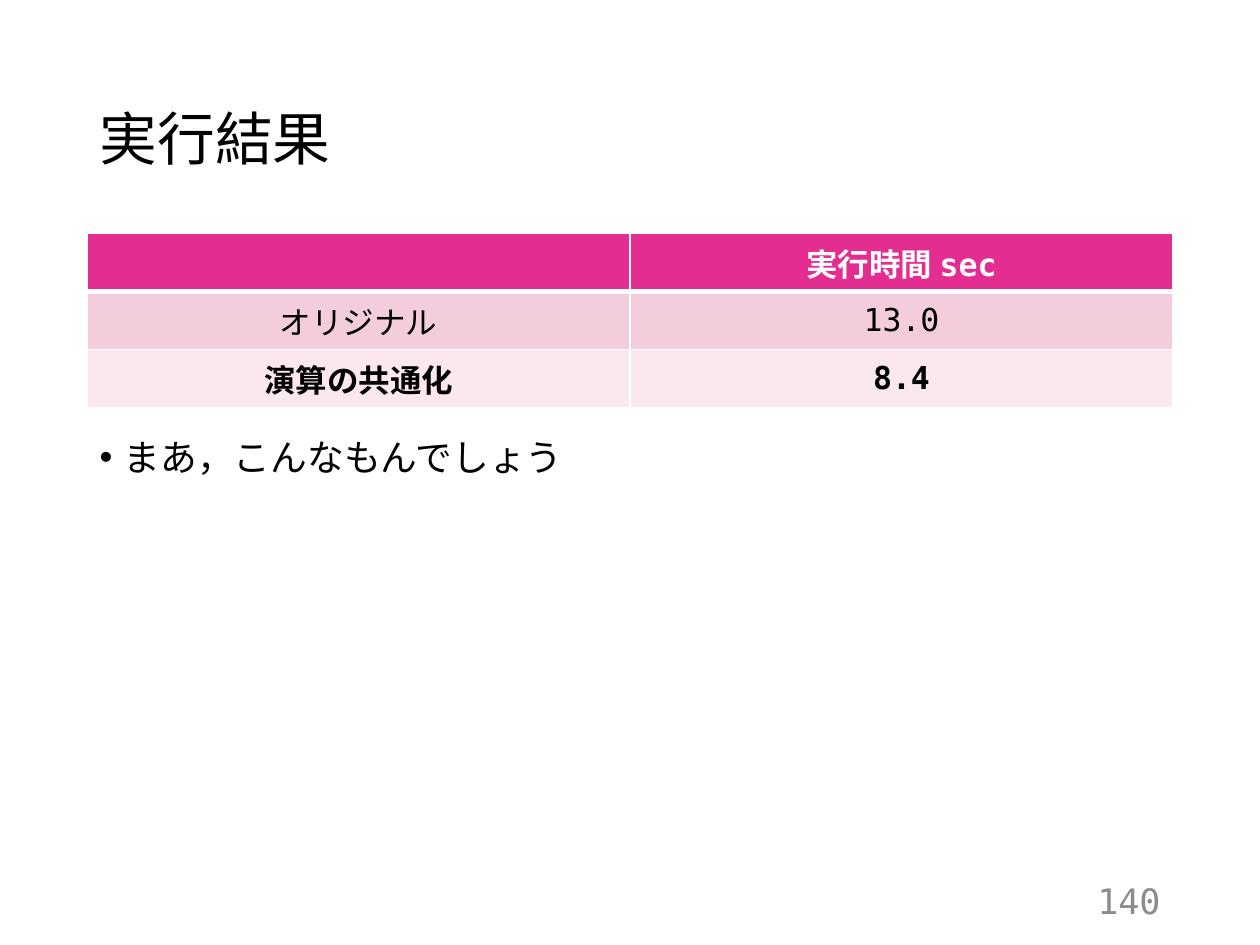
from dataclasses import dataclass

from lxml import etree
from pptx import Presentation
from pptx.dml.color import RGBColor
from pptx.enum.text import MSO_ANCHOR, MSO_AUTO_SIZE, PP_ALIGN
from pptx.oxml.ns import qn
from pptx.util import Emu, Inches, Pt

LEFT, CENTER, RIGHT = PP_ALIGN.LEFT, PP_ALIGN.CENTER, PP_ALIGN.RIGHT
TOP, MIDDLE = MSO_ANCHOR.TOP, MSO_ANCHOR.MIDDLE
NO_AUTOFIT = MSO_AUTO_SIZE.NONE

WIDTH, HEIGHT = 10, 7.5
MARGIN = 0.69
CONTENT_WIDTH = WIDTH - 2 * MARGIN
ROW_HEIGHT = 0.41
RESULTS = [
    ["", "実行時間 sec"],
    ["オリジナル", "13.0"],
    ["演算の共通化", "8.4"],
]


@dataclass(frozen=True)
class Theme:
    font: str = "DejaVu Sans Mono"
    text: str = "000000"
    light: str = "FFFFFF"
    muted: str = "8C8C8C"
    row_fills: tuple = ("E32D91", "F4CDDC", "FAE8EE")
    title_size: float = 33
    body_size: float = 21
    table_size: float = 18
    number_size: float = 20
    thin_line: float = 1
    header_line: float = 3


THEME = Theme()


def place(shape, left, top, width, height):
    shape.left, shape.top = Inches(left), Inches(top)
    shape.width, shape.height = Inches(width), Inches(height)


def write(frame, text, size, color, align=LEFT, bold=False):
    frame.text = text
    para = frame.paragraphs[0]
    para.alignment = align
    for span in para.runs:
        span.font.name = THEME.font
        span.font.size = Pt(size)
        span.font.bold = bold
        span.font.color.rgb = RGBColor.from_string(color)
    return para


def fill_box(box, text, size, color, anchor, align=LEFT):
    frame = box.text_frame
    frame.word_wrap = True
    frame.auto_size = NO_AUTOFIT
    frame.vertical_anchor = anchor
    return write(frame, text, size, color, align)


def add_title(page, text):
    title = page.shapes.title
    place(title, MARGIN, 0.4, CONTENT_WIDTH, 1.45)
    para = fill_box(title, text, THEME.title_size, THEME.text, MIDDLE)
    para.line_spacing = 0.9


def add_bullet(page, text):
    body = page.placeholders[1]
    place(body, MARGIN, 3.4, CONTENT_WIDTH, 3.36)
    para = fill_box(body, text, THEME.body_size, THEME.text, TOP)
    para.space_before = Pt(7.5)
    properties = para._p.get_or_add_pPr()
    properties.set("marL", str(Inches(0.19)))
    properties.set("indent", str(-Inches(0.19)))
    etree.SubElement(properties, qn("a:buChar")).set("char", "•")


def add_border(cell, side, width):
    line = etree.SubElement(cell._tc.get_or_add_tcPr(), qn(f"a:ln{side}"))
    line.set("w", str(Pt(width)))
    fill = etree.SubElement(line, qn("a:solidFill"))
    etree.SubElement(fill, qn("a:srgbClr")).set("val", THEME.light)


def format_cell(cell, text, row):
    is_header = row == 0
    thick_side = {0: "B", 1: "T"}.get(row)
    for side in "LRTB":
        add_border(cell, side, THEME.header_line if side == thick_side else THEME.thin_line)
    cell.fill.solid()
    cell.fill.fore_color.rgb = RGBColor.from_string(THEME.row_fills[row])
    cell.vertical_anchor = MIDDLE
    color = THEME.light if is_header else THEME.text
    is_bold = is_header or row == len(RESULTS) - 1
    write(cell.text_frame, text, THEME.table_size, color, CENTER, is_bold)


def add_results(page):
    frame = page.shapes.add_table(
        len(RESULTS), len(RESULTS[0]), Inches(MARGIN), Inches(1.85),
        Inches(CONTENT_WIDTH), Inches(ROW_HEIGHT * len(RESULTS)))
    for row, values in enumerate(RESULTS):
        frame.table.rows[row].height = Inches(ROW_HEIGHT)
        for column, value in enumerate(values):
            format_cell(frame.table.cell(row, column), value, row)


def add_page_number(page, text):
    width = 2.25
    box = page.shapes.add_textbox(Emu(0), Emu(0), Emu(0), Emu(0))
    place(box, WIDTH - MARGIN - width, 6.95, width, 0.4)
    fill_box(box, text, THEME.number_size, THEME.muted, MIDDLE, RIGHT)


def main():
    deck = Presentation()
    deck.slide_width, deck.slide_height = Inches(WIDTH), Inches(HEIGHT)
    page = deck.slides.add_slide(deck.slide_layouts[1])
    add_title(page, "実行結果")
    add_results(page)
    add_page_number(page, "140")
    add_bullet(page, "まあ，こんなもんでしょう")
    deck.save("out.pptx")


if __name__ == "__main__":
    main()
